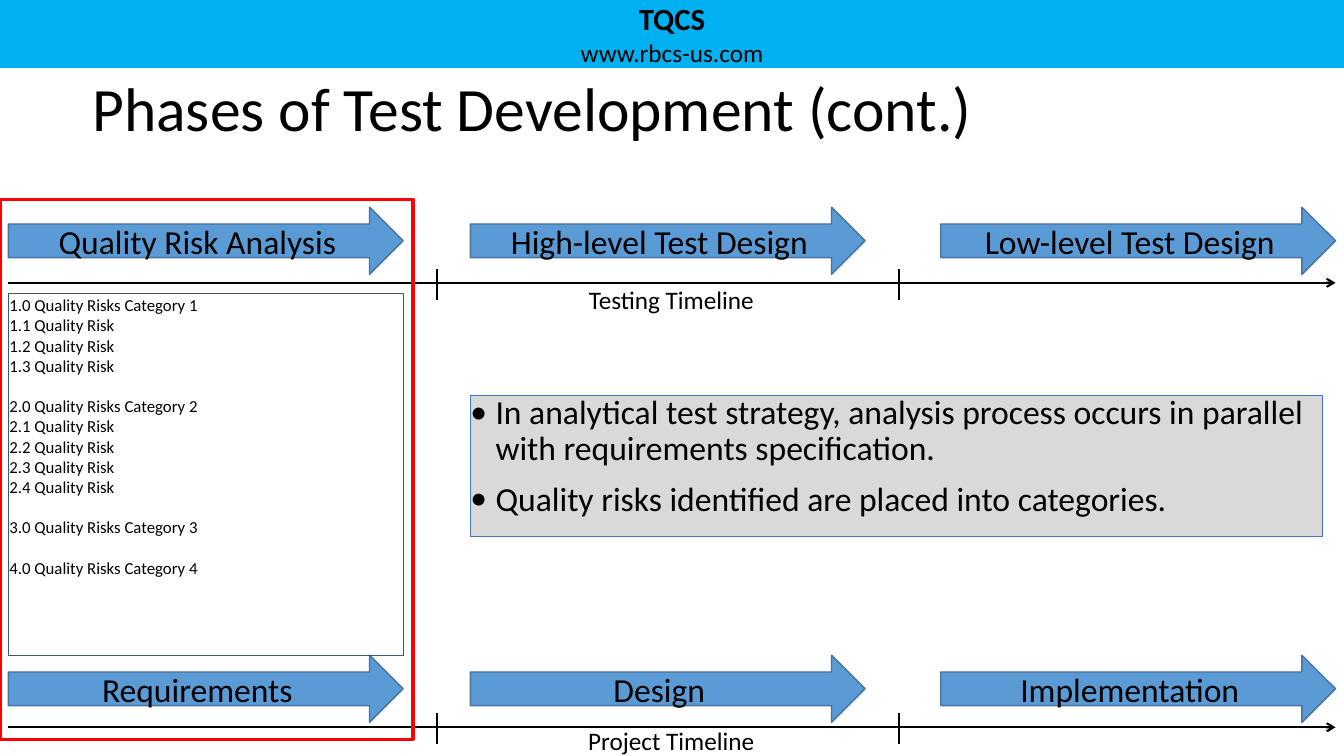
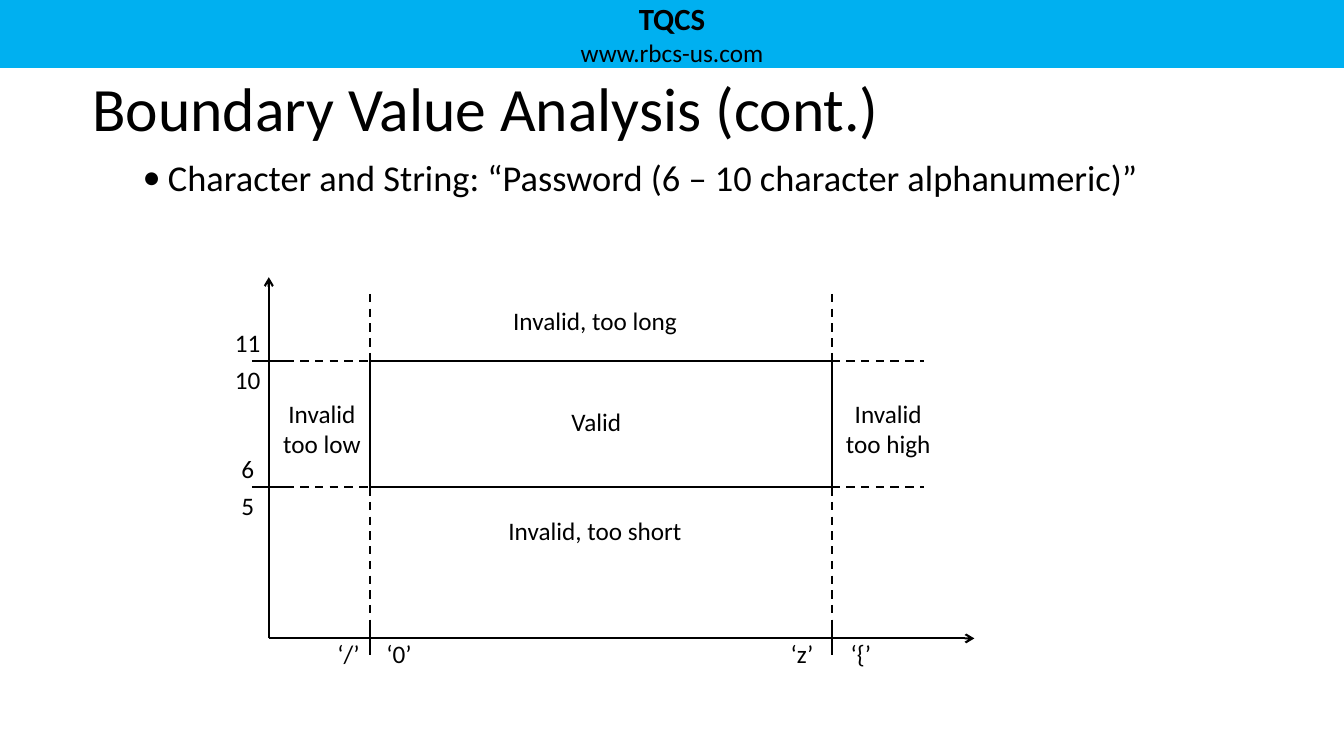
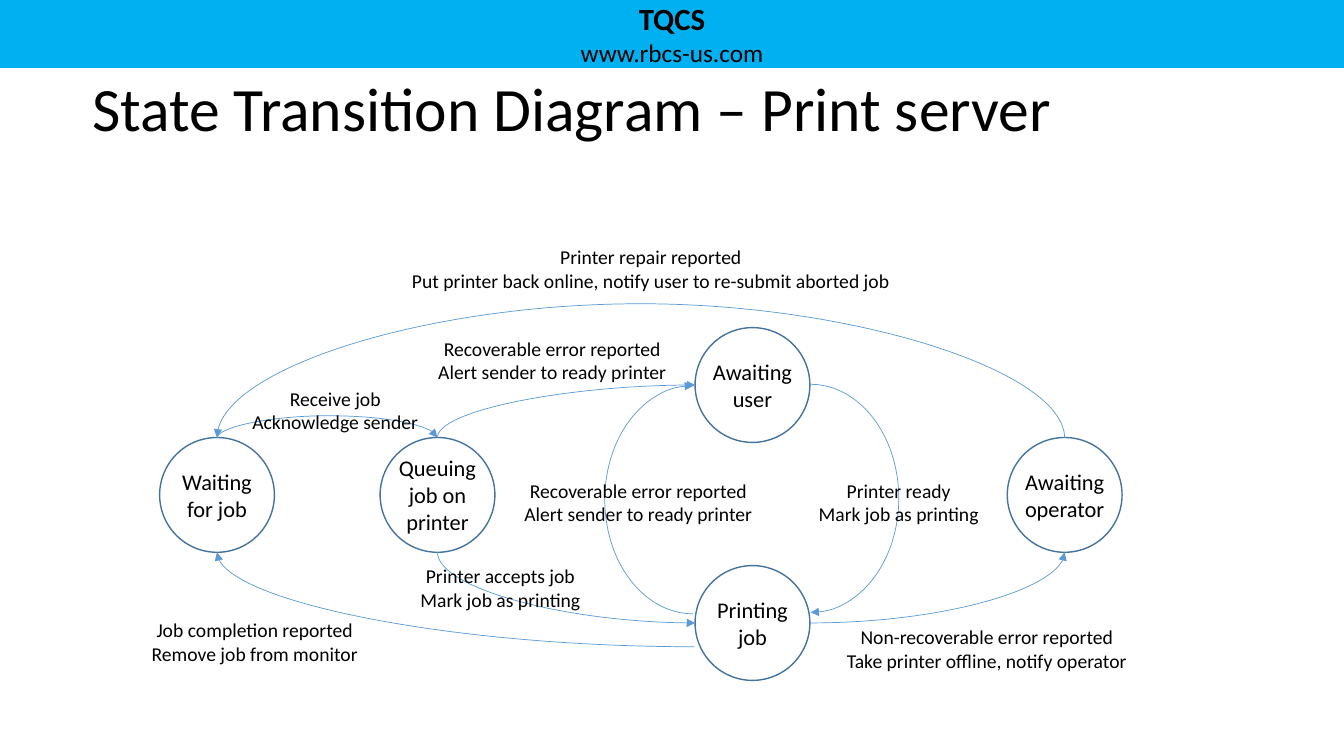
from dataclasses import dataclass

from lxml import etree
from pptx import Presentation
from pptx.dml.color import RGBColor
from pptx.enum.dml import MSO_LINE
from pptx.enum.shapes import MSO_CONNECTOR, MSO_SHAPE
from pptx.enum.text import MSO_ANCHOR, PP_ALIGN
from pptx.oxml.ns import qn
from pptx.util import Pt

LEFT, CENTER = PP_ALIGN.LEFT, PP_ALIGN.CENTER
TOP, MIDDLE = MSO_ANCHOR.TOP, MSO_ANCHOR.MIDDLE
RECT, OVAL = MSO_SHAPE.RECTANGLE, MSO_SHAPE.OVAL
ARROW, ARC = MSO_SHAPE.RIGHT_ARROW, MSO_SHAPE.ARC
STRAIGHT, CURVE = MSO_CONNECTOR.STRAIGHT, MSO_CONNECTOR.CURVE
DASH = MSO_LINE.DASH


@dataclass(frozen=True)
class Theme:
    font: str = "Calibri"
    ink: str = "000000"
    paper: str = "FFFFFF"
    band: str = "00B0F0"
    blue: str = "5B9BD5"
    edge: str = "43739E"
    slate: str = "44546A"
    royal: str = "4472C4"
    gray: str = "D9D9D9"
    red: str = "FF0000"
    title: int = 44
    body: int = 26
    step: int = 24
    brand: int = 22
    label: int = 18
    state: int = 16
    event: int = 14
    small: int = 12


T = Theme()
RADIUS = 41
GAP = 0.51


def color(code):
    return RGBColor.from_string(code)


def frame(shape, anchor=TOP, inset=(0, 0, 0, 0), wrap=True):
    text = shape.text_frame
    text.word_wrap = wrap
    text.vertical_anchor = anchor
    text.margin_left, text.margin_top, text.margin_right, text.margin_bottom = map(Pt, inset)
    return text


def write(text, lines, size, align=CENTER, bold=False, space=None, before=0, bullet=None):
    for line in lines:
        first = not text.paragraphs[0].runs
        para = text.paragraphs[0] if first else text.add_paragraph()
        if bullet is not None:
            props = para._p.get_or_add_pPr()
            props.set("marL", str(Pt(bullet)))
            props.set("indent", str(-Pt(18)))
            etree.SubElement(props, qn("a:buFont")).set("typeface", T.font)
            etree.SubElement(props, qn("a:buChar")).set("char", "•")
        para.alignment = align
        if space:
            para.line_spacing = space
        if before and not first:
            para.space_before = Pt(before)
        run = para.add_run()
        run.text = line
        run.font.name = T.font
        run.font.size = Pt(size)
        run.font.bold = bold
        run.font.color.rgb = color(T.ink)


def box(slide, kind, x, y, w, h, fill=None, edge=None, width=1):
    shape = slide.shapes.add_shape(kind, Pt(x), Pt(y), Pt(w), Pt(h))
    shape.shadow.inherit = False
    if fill:
        shape.fill.solid()
        shape.fill.fore_color.rgb = color(fill)
    else:
        shape.fill.background()
    if edge:
        shape.line.color.rgb = color(edge)
        shape.line.width = Pt(width)
    else:
        shape.line.fill.background()
    return shape


def area(slide, x, y, w, h, **style):
    return frame(slide.shapes.add_textbox(Pt(x), Pt(y), Pt(w), Pt(h)), **style)


def label(slide, x, y, w, *lines, size=T.label):
    write(area(slide, x, y, w, len(lines) * size * 1.22, wrap=False), lines, size)


def tip(shape, end, kind):
    etree.SubElement(shape.line._get_or_add_ln(), qn(f"a:{end}End")).set("type", kind)


def flip(shape, across, down, turn=0):
    form = shape.element.spPr.find(qn("a:xfrm"))
    for name, value in (("flipH", across), ("flipV", down)):
        form.set(name, str(int(value)))
    form.set("rot", str(turn * 60000))


def link(slide, kind, x1, y1, x2, y2, ink, width, dash=None, head=None):
    line = slide.shapes.add_connector(kind, Pt(x1), Pt(y1), Pt(x2), Pt(y2))
    line.line.color.rgb = color(ink)
    line.line.width = Pt(width)
    if dash:
        line.line.dash_style = dash
    if head:
        tip(line, "tail", head)
    etree.SubElement(line.element.spPr, qn("a:effectLst"))
    return line


def rule(slide, x1, y1, x2, y2, dash=None, head=None):
    link(slide, STRAIGHT, x1, y1, x2, y2, T.ink, 1.5, dash, head)


def bend(slide, start, end, steep=False, rise=None):
    (x1, y1), (x2, y2) = start, end
    if rise:
        y1 = y2 + GAP
    dx, dy = x2 - x1, y2 - y1
    w, h = (abs(dy), abs(dx)) if steep else (abs(dx), abs(dy))
    x, y = (x1 + x2 - w) / 2, (y1 + y2 - h) / 2
    line = link(slide, CURVE, x, y, x + w, y + h, T.blue, 0.5, head="triangle")
    if steep:
        flip(line, dy < 0, dx > 0, 90)
    else:
        flip(line, dx < 0, dy < 0)
    shape = line.element.spPr.find(qn("a:prstGeom"))
    shape.set("prst", "curvedConnector3" if rise else "curvedConnector2")
    if rise:
        guides = shape.find(qn("a:avLst"))
        guide = etree.SubElement(guides, qn("a:gd"))
        guide.set("name", "adj1")
        guide.set("fmla", f"val {round(rise / GAP * 100000)}")


def arc(slide, x, y, across, down, head):
    shape = box(slide, ARC, x, y, 126, 163, edge=T.blue, width=0.5)
    flip(shape, across, down)
    if head:
        tip(shape, "head", "triangle")


def start(deck, title):
    slide = deck.slides.add_slide(deck.slide_layouts[6])
    band = frame(box(slide, RECT, 0, 0, 960, 48.5, T.band), inset=(7.2, 0, 7.2, 0))
    write(band, ["TQCS"], T.brand, bold=True)
    write(band, ["www.rbcs-us.com"], T.label)
    head = area(slide, 66, 42, 828, 72, anchor=MIDDLE, inset=(0, 3.6, 0, 0))
    write(head, [title], T.title, LEFT, space=0.9)
    return slide


def phases(deck):
    slide = start(deck, "Phases of Test Development (cont.)")
    rows = (
        (148, 202, 203, "Testing Timeline",
         ("Quality Risk Analysis", "High-level Test Design", "Low-level Test Design")),
        (468, 519.5, 518, "Project Timeline",
         ("Requirements", "Design", "Implementation")),
    )
    for top, axis, base, name, steps in rows:
        for x, step in zip((6, 336, 672), steps):
            shape = box(slide, ARROW, x, top, 282, 48, T.blue, T.edge)
            write(frame(shape, MIDDLE), [step], T.step)
        rule(slide, 6, axis, 954, axis, head="arrow")
        for x in (312, 642):
            rule(slide, x, axis + 12, x, axis - 10)
        label(slide, 420, base, 119, name)
    risks = frame(box(slide, RECT, 6, 210, 282, 258, edge=T.slate, width=0.75),
                  inset=(0.75, 0.75, 0.75, 0.75))
    for group, count in enumerate((3, 4, 0, 0), 1):
        write(risks, [f"{group}.0 Quality Risks Category {group}"], T.small, LEFT, before=14.5)
        items = [f"{group}.{item} Quality Risk" for item in range(1, count + 1)]
        write(risks, items, T.small, LEFT)
    notes = (
        "In analytical test strategy, analysis process occurs in parallel with requirements specification.",
        "Quality risks identified are placed into categories.",
    )
    panel = box(slide, RECT, 336, 282.5, 609, 101, T.gray, T.royal, 0.75)
    write(frame(panel), notes, T.step, LEFT, space=0.9, before=10, bullet=18)
    box(slide, RECT, 0, 142.5, 295, 385.5, edge=T.red, width=2.25)


def bounds(deck):
    slide = start(deck, "Boundary Value Analysis (cont.)")
    point = "Character and String: “Password (6 – 10 character alphanumeric)”"
    write(area(slide, 66, 114, 828, 414), [point], T.body, LEFT, space=0.9, bullet=54)
    axis, base = 192, 456
    left, right, high, low = 264, 594, 258, 348
    rule(slide, axis, base, axis, 198, head="arrow")
    rule(slide, axis, base, 696, base, head="arrow")
    for y, above, below in ((high, "11", "10"), (low, "6", "5")):
        rule(slide, axis - 12, y, axis + 12, y)
        rule(slide, left, y, right, y)
        for x in (axis + 12, right):
            rule(slide, x, y, x + 66, y, DASH)
        label(slide, 162, y - 24, 30, above)
        label(slide, 162, y + 2, 30, below)
    for x in (left, right):
        rule(slide, x, base - 12, x, base + 12)
        rule(slide, x, high, x, low + 6)
        for y in (210, low):
            rule(slide, x, y, x, y + 96, DASH)
    for x, mark in ((234, "‘/’"), (270, "‘0’"), (558, "‘z’"), (600, "‘{’")):
        label(slide, x, base, 30, mark)
    label(slide, 408, 290, 36, "Valid")
    label(slide, 202, 284.5, 56, "Invalid", "too low")
    label(slide, 604, 284.5, 61, "Invalid", "too high")
    label(slide, 348, 368, 154, "Invalid, too short")
    label(slide, 348, 218, 154, "Invalid, too long")


def states(deck):
    slide = start(deck, "State Transition Diagram – Print server")
    wait, queue, fix = (155, 353.5), (312.5, 353.5), (760.5, 353.5)
    job, user = (537.5, 445), (537.5, 275)
    nodes = (
        (wait, "Waiting for job"), (queue, "Queuing job on printer"),
        (job, "Printing job"), (fix, "Awaiting operator"), (user, "Awaiting user"),
    )
    for (x, y), name in nodes:
        shape = box(slide, OVAL, x - RADIUS, y - RADIUS, 2 * RADIUS, 2 * RADIUS, T.paper, T.edge)
        write(frame(shape, MIDDLE), [name], T.state)

    def side(node, dx, dy):
        return node[0] + dx * RADIUS, node[1] + dy * RADIUS

    bend(slide, side(wait, 0, -1), side(queue, 0, -1), True, 16)
    bend(slide, side(fix, 0, -1), side(wait, 0, -1), True, 96)
    bend(slide, side(queue, 0, 1), side(job, -1, 0), True)
    bend(slide, side(queue, 0, -1), side(user, -1, 0), True)
    bend(slide, (496, 462), side(wait, 0, 1))
    bend(slide, side(job, 1, 0), side(fix, 0, 1))
    for x, y, across in ((516, 274.5, False), (432, 275.5, True)):
        for down in (False, True):
            arc(slide, x, y, across, down, down != across)
    error = ("Recoverable error reported", "Alert sender to ready printer")
    mark = "Mark job as printing"
    events = (
        (180, 276, 119, "Receive job", "Acknowledge sender"),
        (108, 441.5, 148, "Job completion reported", "Remove job from monitor"),
        (584, 342, 116, "Printer ready", mark),
        (312, 240.5, 165, *error),
        (288, 175, 354, "Printer repair reported",
         "Put printer back online, notify user to re-submit aborted job"),
        (604, 446.5, 202, "Non-recoverable error reported",
         "Take printer offline, notify operator"),
        (299.5, 403, 116, "Printer accepts job", mark),
        (373.5, 342, 165, *error),
    )
    for event in events:
        label(slide, *event, size=T.event)


def main():
    deck = Presentation()
    deck.slide_width, deck.slide_height = Pt(960), Pt(540)
    phases(deck)
    bounds(deck)
    states(deck)
    deck.save("out.pptx")


if __name__ == "__main__":
    main()
